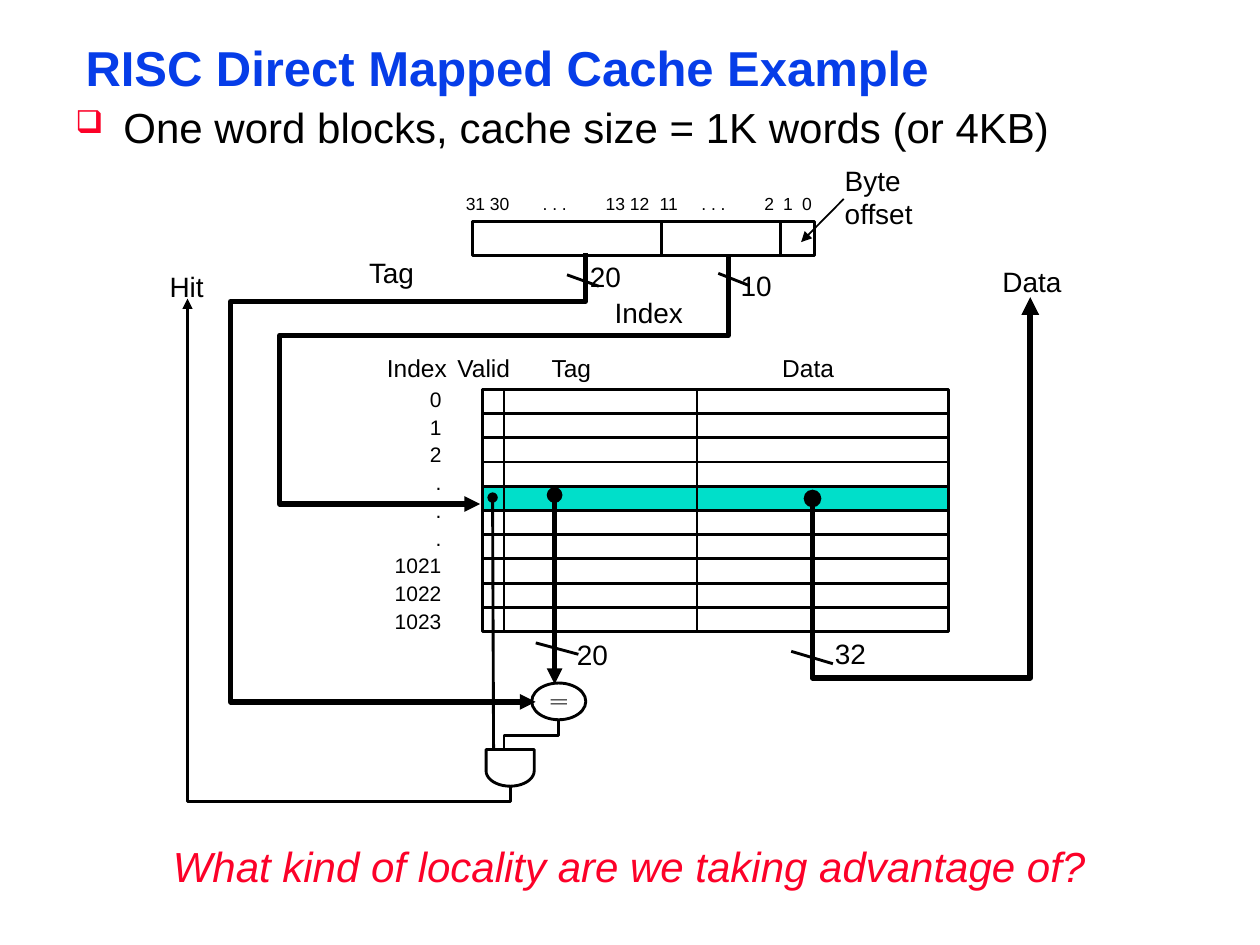
import math

import lxml.etree
import pptx
import pptx.dml.color
import pptx.enum.shapes
import pptx.enum.text
import pptx.oxml.ns
import pptx.util
from pptx.util import Cm

COLORS = {
    "title": "063DE8",
    "accent": "FC0128",
    "ink": "000000",
    "hit_row": "00DFCA",
}
FONT = "Arial"
THIN, THICK = 1.63, 3
ALIGN = pptx.enum.text.PP_ALIGN
SHAPE = pptx.enum.shapes.MSO_SHAPE


def rgb(name):
    return pptx.dml.color.RGBColor.from_string(COLORS[name])


def add_xml(parent, tag, **attributes):
    return lxml.etree.SubElement(parent, pptx.oxml.ns.qn(tag), attributes)


def style_para(para, size, color="ink", align=ALIGN.LEFT, spacing=1.0):
    para.alignment = align
    para.line_spacing = spacing
    para.font.size = pptx.util.Pt(size)
    para.font.name = FONT
    para.font.color.rgb = rgb(color)


def style_line(shape, width, head=None, tail=None, color="ink"):
    shape.line.color.rgb = rgb(color)
    shape.line.width = pptx.util.Pt(width)
    outline = shape.line._get_or_add_ln()
    for tag, kind in (("a:headEnd", head), ("a:tailEnd", tail)):
        if kind:
            add_xml(outline, tag, type=kind)


def add_text(page, box, x, y, width, height, text, wrap=True):
    shape = page.shapes.add_textbox(Cm(box[0] + x), Cm(box[1] + y), Cm(width), Cm(height))
    shape.text_frame.word_wrap = wrap
    shape.text_frame.text = text
    return shape.text_frame.paragraphs


def add_label(page, box, x, y, width, text, size=16):
    para = add_text(page, box, x, y, width, 0.9, text, wrap=False)[0]
    style_para(para, size)


def add_line(page, box, start, end, width=THIN, head=None, tail=None):
    ends = [Cm(box[i] + point[i]) for point in (start, end) for i in (0, 1)]
    line = page.shapes.add_connector(pptx.enum.shapes.MSO_CONNECTOR.STRAIGHT, *ends)
    style_line(line, width, head, tail)
    add_xml(line._element.spPr, "a:effectLst")


def add_outline(page, box, points, width=THIN, head=None, tail=None, close=False):
    corners = [(Cm(box[0] + x), Cm(box[1] + y)) for x, y in points]
    builder = page.shapes.build_freeform(*corners[0])
    builder.add_line_segments(corners[1:], close=close)
    shape = builder.convert_to_shape()
    shape.shadow.inherit = False
    shape.fill.background()
    style_line(shape, width, head, tail)


def add_block(page, box, kind, x, y, width, height, fill=None, line=True):
    shape = page.shapes.add_shape(kind, Cm(box[0] + x), Cm(box[1] + y), Cm(width), Cm(height))
    shape.shadow.inherit = False
    if fill:
        shape.fill.solid()
        shape.fill.fore_color.rgb = rgb(fill)
    else:
        shape.fill.background()
    if line:
        style_line(shape, THIN)
    else:
        shape.line.fill.background()


def place_title(page, box):
    title = page.shapes.title
    title.left, title.top, title.width, title.height = map(Cm, box)
    frame = title.text_frame
    frame.text = "RISC Direct Mapped Cache Example"
    frame.auto_size = pptx.enum.text.MSO_AUTO_SIZE.NONE
    frame.vertical_anchor = pptx.enum.text.MSO_ANCHOR.MIDDLE
    style_para(frame.paragraphs[0], 28, "title", spacing=0.87)
    frame.paragraphs[0].font.bold = True


def place_bullet(page, box):
    para = add_text(page, box, 0, 0, *box[2:], "One word blocks, cache size = 1K words (or 4KB)")[0]
    props = para._p.get_or_add_pPr()
    props.set("marL", str(Cm(0.97)))
    props.set("indent", str(Cm(-0.97)))
    add_xml(add_xml(props, "a:buClr"), "a:srgbClr", val=COLORS["accent"])
    add_xml(props, "a:buSzPct", val="75000")
    add_xml(props, "a:buChar", char="❑")
    style_para(para, 24, spacing=0.8)


def place_question(page, box):
    para = add_text(page, box, 0, 0, *box[2:], "What kind of locality are we taking advantage of?")[0]
    style_para(para, 24, "accent", ALIGN.CENTER, 0.9)
    para.font.italic = True


def place_address(page, box):
    width, height = box[2:]
    add_block(page, box, SHAPE.RECTANGLE, 0, 0, width, height)
    for x in (3.82, 6.22):
        add_line(page, box, (x, 0), (x, height))
    # Bit numbers, spread by tab stops
    bits = ["31 30", ". . .", "13 12", "11", ". . .", "2", "1", "0"]
    para = add_text(page, box, -0.38, -0.71, 7.87, 0.69, "\t".join(bits))[0]
    tabs = add_xml(para._p.get_or_add_pPr(), "a:tabLst")
    for stop in (1.55, 2.82, 3.91, 4.75, 6.02, 6.4, 6.78):
        add_xml(tabs, "a:tab", pos=str(Cm(stop)), algn="l")
    style_para(para, 10)
    style_para(add_text(page, box, 7.26, -1.3, 2.34, 1.63, "Byte offset")[0], 16)
    add_line(page, box, (7.49, -0.46), (6.63, 0.41), 1, tail="triangle")


def place_cache(page, box):
    width, height = box[2:]
    rows = 10
    pitch = height / rows
    add_block(page, box, SHAPE.RECTANGLE, 0, 0, width, height)
    add_block(page, box, SHAPE.RECTANGLE, 0, 4 * pitch, width, pitch, "hit_row")
    for row in range(1, rows):
        add_line(page, box, (width, row * pitch), (0, row * pitch))
    for x in (0.43, 4.32):
        add_line(page, box, (x, 0), (x, height))
    headings = [("Index", -2.18, 1.73), ("Valid", -0.76, 1.6), ("Tag", 1.14, 1.35), ("Data", 5.79, 1.55)]
    for text, x, label_width in headings:
        add_label(page, box, x, -0.86, label_width, text, 14)
    indexes = ["0", "1", "2", ".", ".", ".", "1021", "1022", "1023"]
    for para in add_text(page, box, -2.03, -0.23, 1.45, 5.31, "\n".join(indexes), wrap=False):
        style_para(para, 12, align=ALIGN.RIGHT, spacing=1.1)


def place_tag_wire(page, box):
    width, height = box[2:]
    wire = [(width, 0), (width, 0.97), (0, 0.97), (0, height), (6.15, height)]
    add_outline(page, box, wire, THICK, tail="triangle")
    add_line(page, box, (6.78, 0.43), (7.42, 0.66))
    add_label(page, box, 6.99, 0, 1.14, "20")
    add_label(page, box, 2.54, -0.08, 1.47, "Tag")


def place_index_wire(page, box):
    width, height = box[2:]
    wire = [(width, 0), (width, 1.63), (0, 1.63), (0, height), (4.04, height)]
    add_outline(page, box, wire, THICK, tail="triangle")
    add_line(page, box, (8.84, 0.38), (9.47, 0.63))
    add_label(page, box, width, 0.15, 1.14, "10")
    add_label(page, box, 6.5, 0.71, 1.88, "Index")


def place_data_wire(page, box):
    width, height = box[2:]
    wire = [(0, 4.06), (0, height), (width, height), (width, 0)]
    add_outline(page, box, wire, 3.38, "oval", "triangle")
    add_line(page, box, (-0.43, 7.14), (0.41, 7.39))
    add_label(page, box, 3.58, -0.79, 1.7, "Data")
    add_label(page, box, 0.2, 6.71, 1.14, "32")


def place_comparator(page, box):
    add_block(page, box, SHAPE.OVAL, 0, 0, *box[2:])
    for y in (0.33, 0.41):
        add_block(page, box, SHAPE.RECTANGLE, 0.38, y, 0.33, 0.02, "ink", line=False)
    add_line(page, box, (0.46, -3.79), (0.46, 0.02), THICK, "oval", "triangle")
    add_line(page, box, (0.08, -0.81), (0.94, -0.58))
    add_label(page, box, 0.66, -1.04, 1.14, "20")


def place_hit_gate(page, box):
    width, height = box[2:]
    middle, shoulder = width / 2, 0.43
    # AND gate: flat top, half-ellipse below
    angles = [math.pi * step / 20 for step in range(21)]
    curve = [(middle + middle * math.cos(a), shoulder + (height - shoulder) * math.sin(a)) for a in angles]
    add_outline(page, box, [(0, 0), (width, 0)] + curve, close=True)
    # Inputs, then the hit output
    add_line(page, box, (0.13, -5.08), (0.15, 0), head="oval")
    add_outline(page, box, [(1.46, -0.61), (1.46, -0.28), (0.36, -0.28), (0.36, 0)])
    output = [(middle, height), (middle, 1.04), (-6.02, 1.04), (-6.02, -9.09)]
    add_outline(page, box, output, tail="triangle")
    add_label(page, box, -6.63, -9.8, 1.2, "Hit")


def main():
    deck = pptx.Presentation()
    deck.slide_width, deck.slide_height = Cm(25.4), Cm(19.05)
    page = deck.slides.add_slide(deck.slide_layouts[5])
    # Boxes are left, top, width, height in centimetres
    place_bullet(page, (1.27, 2.11, 22.43, 1.88))
    place_title(page, (1.47, 0.84, 22.66, 1.17))
    place_tag_wire(page, (4.65, 5.11, 7.15, 9.04))
    place_index_wire(page, (5.64, 5.13, 9.04, 5.03))
    place_cache(page, (9.73, 7.85, 9.4, 4.88))
    place_address(page, (9.52, 4.47, 6.91, 0.69))
    place_question(page, (1.47, 16.94, 22.43, 1.27))
    place_comparator(page, (10.72, 13.77, 1.09, 0.74))
    place_data_wire(page, (16.38, 5.99, 4.39, 7.67))
    place_hit_gate(page, (9.8, 15.11, 0.97, 0.74))
    deck.save("out.pptx")


if __name__ == "__main__":
    main()
